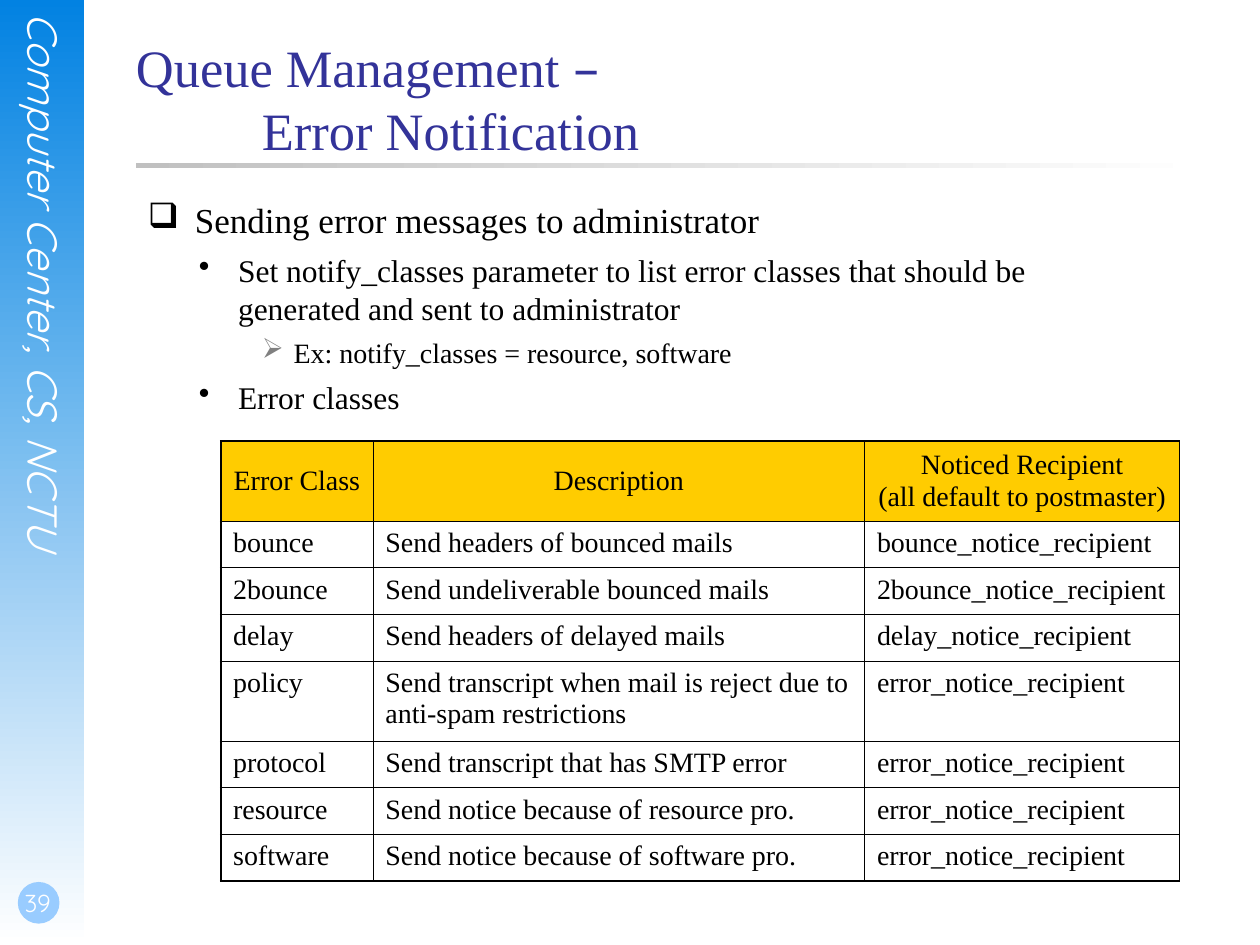
from lxml import etree
from pptx import Presentation
from pptx.dml.color import RGBColor
from pptx.enum.shapes import MSO_SHAPE
from pptx.enum.text import MSO_ANCHOR, PP_ALIGN
from pptx.oxml.ns import qn
from pptx.util import Cm, Pt

RECT, OVAL = MSO_SHAPE.RECTANGLE, MSO_SHAPE.OVAL
TOP, MID, LOW = MSO_ANCHOR.TOP, MSO_ANCHOR.MIDDLE, MSO_ANCHOR.BOTTOM
LEFT, CENTER = PP_ALIGN.LEFT, PP_ALIGN.CENTER
SERIF, SANS, ROUND = "Times New Roman", "DejaVu Sans", "Quicksand"
COLORS = {
    "blue": "0282E2", "white": "FFFFFF", "sky": "99CCFF", "silver": "C0C0C0",
    "navy": "333399", "black": "000000", "gray": "808080", "gold": "FFCC00",
}
LEVELS = [
    ("❑", "black", 20, 1.19, 0.95, 0),
    ("•", "black", 18, 2.06, 0.79, 5.6),
    ("➢", "gray", 16, 3.18, 0.64, 5),
]
POINTS = [
    (0, "Sending error messages to administrator"),
    (1, "Set notify_classes parameter to list error classes that should be "
        "generated and sent to administrator"),
    (2, "Ex: notify_classes = resource, software"),
    (1, "Error classes"),
]
ROWS = [
    ("Error Class", "Description", "Noticed Recipient\v(all default to postmaster)"),
    ("bounce", "Send headers of bounced mails", "bounce_notice_recipient"),
    ("2bounce", "Send undeliverable bounced mails", "2bounce_notice_recipient"),
    ("delay", "Send headers of delayed mails", "delay_notice_recipient"),
    ("policy", "Send transcript when mail is reject due to\vanti-spam restrictions",
     "error_notice_recipient"),
    ("protocol", "Send transcript that has SMTP error", "error_notice_recipient"),
    ("resource", "Send notice because of resource pro.", "error_notice_recipient"),
    ("software", "Send notice because of software pro.", "error_notice_recipient"),
]
WIDTHS = [3.07, 9.91, 6.35]


def rgb(name):
    return RGBColor.from_string(COLORS[name])


def add_xml(parent, tag, **attrs):
    return etree.SubElement(parent, qn(tag), attrs)


def set_font(par, size, color, face=SERIF):
    font = par.font
    font.size, font.name = Pt(size), face
    font.color.rgb = rgb(color)


def add_shape(slide, kind, box, fill, angle=0):
    shape = slide.shapes.add_shape(kind, *map(Cm, box))
    shape.shadow.inherit = False
    shape.line.fill.background()
    if len(fill) == 1:
        shape.fill.solid()
        shape.fill.fore_color.rgb = rgb(fill[0])
    else:
        shape.fill.gradient()
        shape.fill.gradient_angle = angle
        for stop, name in zip(shape.fill.gradient_stops, fill):
            stop.color.rgb = rgb(name)


def add_box(slide, box, anchor=TOP):
    frame = slide.shapes.add_textbox(*map(Cm, box)).text_frame
    frame.word_wrap = True
    frame.vertical_anchor = anchor
    frame.margin_left = frame.margin_right = 0
    frame.margin_top = frame.margin_bottom = 0
    return frame


def add_side(slide):
    add_shape(slide, RECT, (0, 0, 1.7, 19.05), ("blue", "white"), 270)
    frame = add_box(slide, (0.38, 0.25, 1.02, 12.98))
    frame._txBody.bodyPr.set("vert", "eaVert")
    par = frame.paragraphs[0]
    par.text = "Computer Center, CS, NCTU"
    par.alignment = CENTER
    set_font(par, 24, "white", ROUND)
    par.font.italic = True

    add_shape(slide, OVAL, (0.36, 17.78, 0.84, 0.84), ("sky",))
    frame = add_box(slide, (0, 17.35, 1.47, 1.27), LOW)
    frame.margin_left, frame.margin_bottom = Cm(0.05), Cm(0.13)
    par = frame.paragraphs[0]
    par.text = "39"
    par.alignment = CENTER
    set_font(par, 14, "white", ROUND)


def add_title(slide):
    add_shape(slide, RECT, (2.74, 3.28, 21.59, 0.1), ("silver", "white"))
    par = add_box(slide, (2.74, 0.71, 21.59, 3.18)).paragraphs[0]
    tabs = add_xml(par._p.get_or_add_pPr(), "a:tabLst")
    add_xml(tabs, "a:tab", pos=str(Cm(2.54)), algn="l")
    set_font(par, 30, "navy")
    par.add_run().text = "Queue Management "
    dash = par.add_run()
    dash.text = "–"
    dash.font.name = SANS
    par.add_line_break()
    tab = par.add_run()
    tab.text = "\t"
    tab.font.name = SANS
    par.add_run().text = "Error Notification"


def add_points(slide):
    frame = add_box(slide, (2.74, 4.01, 20.42, 12.9))
    for i, (level, text) in enumerate(POINTS):
        mark, tint, size, left, hang, gap = LEVELS[level]
        par = frame.add_paragraph() if i else frame.paragraphs[0]
        par.text = text
        par.level = level
        par.space_before = Pt(gap)
        props = par._p.get_or_add_pPr()
        props.set("marL", str(Cm(left)))
        props.set("indent", str(-Cm(hang)))
        add_xml(add_xml(props, "a:buClr"), "a:srgbClr", val=COLORS[tint])
        add_xml(props, "a:buChar", char=mark)
        set_font(par, size, "black")


def set_edges(cell, outer):
    props = cell._tc.get_or_add_tcPr()
    for i, (side, thick) in enumerate(zip("LRTB", outer)):
        width = Pt(1.08 if thick else 0.45)
        line = etree.Element(qn("a:ln" + side), w=str(width))
        fill = add_xml(line, "a:solidFill")
        add_xml(fill, "a:srgbClr", val=COLORS["black"])
        props.insert(i, line)


def fill_cell(cell, text, head):
    cell.margin_left = cell.margin_right = Cm(0.25)
    cell.margin_top = cell.margin_bottom = Cm(0.13)
    cell.vertical_anchor = MID if head else TOP
    if head:
        cell.fill.solid()
        cell.fill.fore_color.rgb = rgb("gold")
    else:
        cell.fill.background()
    par = cell.text_frame.paragraphs[0]
    par.text = text
    par.alignment = CENTER if head else LEFT
    set_font(par, 16, "black")


def add_grid(slide):
    highs = [1.6 if any("\v" in text for text in row) else 0.94 for row in ROWS]
    size = (Cm(sum(WIDTHS)), Cm(sum(highs)))
    table = slide.shapes.add_table(
        len(ROWS), len(WIDTHS), Cm(4.45), Cm(8.89), *size).table
    table.first_row = table.horz_banding = False
    for col, width in zip(table.columns, WIDTHS):
        col.width = Cm(width)
    for r, row in enumerate(ROWS):
        table.rows[r].height = Cm(highs[r])
        for c, text in enumerate(row):
            cell = table.cell(r, c)
            fill_cell(cell, text, r == 0)
            set_edges(cell, (c == 0, c == len(WIDTHS) - 1, r == 0, r == len(ROWS) - 1))


def main():
    deck = Presentation()
    deck.slide_width, deck.slide_height = Cm(25.4), Cm(19.05)
    slide = deck.slides.add_slide(deck.slide_layouts[6])
    add_side(slide)
    add_title(slide)
    add_points(slide)
    add_grid(slide)
    deck.save("out.pptx")


if __name__ == "__main__":
    main()
